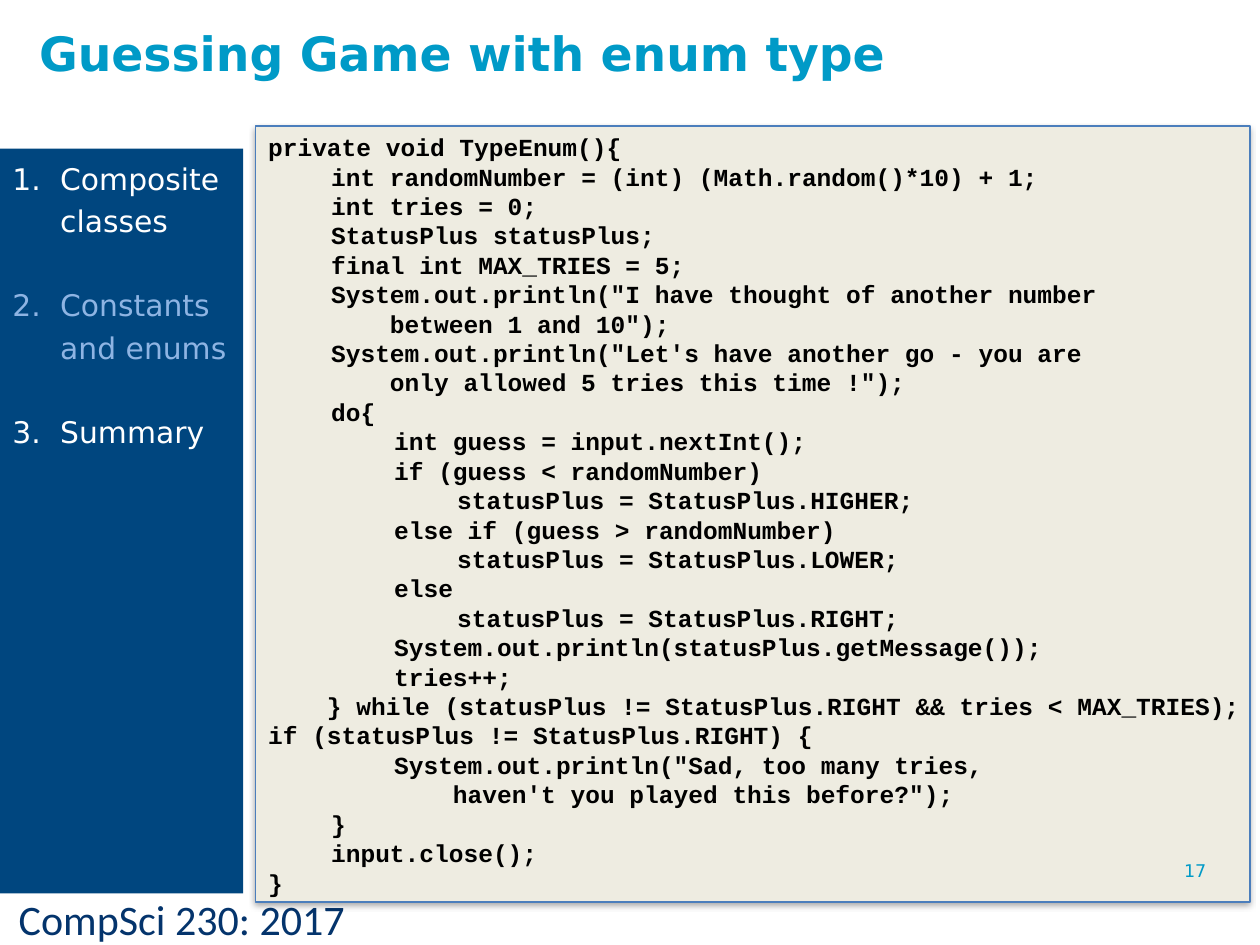
from dataclasses import dataclass

from lxml import etree
from pptx import Presentation
from pptx.dml.color import RGBColor
from pptx.enum.shapes import MSO_SHAPE
from pptx.enum.text import MSO_ANCHOR, MSO_AUTO_SIZE, PP_ALIGN
from pptx.oxml.ns import qn
from pptx.util import Emu, Inches, Pt

RECT = MSO_SHAPE.RECTANGLE
TOP = MSO_ANCHOR.TOP
FIXED = MSO_AUTO_SIZE.NONE
LEFT = PP_ALIGN.LEFT
TITLE_ONLY = 5
COLS, ROWS = 100, 75
UNIT = Inches(0.1)  # one grid column or row
TAB = 0.5           # inches per code level
CHAR = 0.6 / 72     # width of a code letter, inches per point of size


@dataclass(frozen=True)
class Theme:
    sans: str = "DejaVu Sans"
    mono: str = "Courier New"
    foot: str = "Calibri"
    cyan: str = "009AC7"
    navy: str = "00467F"
    ink: str = "04346C"
    cream: str = "EEECE1"
    edge: str = "4B7EBC"
    pale: str = "8EB4E3"
    white: str = "FFFFFF"
    black: str = "000000"
    title: int = 27
    footer: int = 24
    menu: int = 17
    code: int = 14
    page: int = 10


T = Theme()

# Menu entries with their colours
MENU = [
    ("Composite classes", T.white),
    ("Constants and enums", T.pale),
    ("Summary", T.white),
]

# Code lines: level, extra letters of indent, text
CODE = [
    (0, 0, "private void TypeEnum(){"),
    (1, 0, "int randomNumber = (int) (Math.random()*10) + 1;"),
    (1, 0, "int tries = 0;"),
    (1, 0, "StatusPlus statusPlus;"),
    (1, 0, "final int MAX_TRIES = 5;"),
    (1, 0, 'System.out.println("I have thought of another number'),
    (1, 4, 'between 1 and 10");'),
    (1, 0, 'System.out.println("Let\'s have another go - you are'),
    (1, 4, 'only allowed 5 tries this time !");'),
    (1, 0, "do{"),
    (2, 0, "int guess = input.nextInt();"),
    (2, 0, "if (guess < randomNumber)"),
    (3, 0, "statusPlus = StatusPlus.HIGHER;"),
    (2, 0, "else if (guess > randomNumber)"),
    (3, 0, "statusPlus = StatusPlus.LOWER;"),
    (2, 0, "else"),
    (3, 0, "statusPlus = StatusPlus.RIGHT;"),
    (2, 0, "System.out.println(statusPlus.getMessage());"),
    (2, 0, "tries++;"),
    (0, 4, "} while (statusPlus != StatusPlus.RIGHT && tries < MAX_TRIES);"),
    (0, 0, "if (statusPlus != StatusPlus.RIGHT) {"),
    (2, 0, 'System.out.println("Sad, too many tries,'),
    (2, 4, 'haven\'t you played this before?");'),
    (1, 0, "}"),
    (1, 0, "input.close();"),
    (0, 0, "}"),
]


def grid(*box):
    return [Emu(round(n * UNIT)) for n in box]


def write(frame, text, font=T.sans, size=T.menu, color=T.black, bold=False,
          margin=0, hang=0, pitch=None, gap=0, number=False):
    """Add one paragraph to the frame, filling the first one if it is bare."""
    para = frame.paragraphs[0]
    if para.runs:
        para = frame.add_paragraph()
    para.alignment = LEFT
    para.space_before = Pt(gap)
    if pitch:
        para.line_spacing = Pt(pitch)
    props = para._p.get_or_add_pPr()
    props.set("marL", str(Inches(margin)))
    props.set("indent", str(Inches(-hang)))
    if number:
        etree.SubElement(props, qn("a:buFont"), typeface="+mj-lt")
        etree.SubElement(props, qn("a:buAutoNum"), type="arabicPeriod")
    run = para.add_run()
    run.text = text
    run.font.name = font
    run.font.size = Pt(size)
    run.font.bold = bold
    run.font.color.rgb = RGBColor.from_string(color)


def setup(shape):
    frame = shape.text_frame
    frame.word_wrap = True
    frame.auto_size = FIXED
    frame.vertical_anchor = TOP
    return frame


def label(slide, box, text, **look):
    write(setup(slide.shapes.add_textbox(*grid(*box))), text, **look)


def panel(slide, box, fill, edge=None):
    shape = slide.shapes.add_shape(RECT, *grid(*box))
    shape.shadow.inherit = False
    shape.fill.solid()
    shape.fill.fore_color.rgb = RGBColor.from_string(fill)
    if edge:
        shape.line.color.rgb = RGBColor.from_string(edge)
        shape.line.width = Pt(0.75)
    else:
        shape.line.fill.background()
    return shape


def shade(shape):
    """Give the shape a soft shadow straight below it."""
    effects = shape._element.spPr.find(qn("a:effectLst"))
    outer = etree.SubElement(
        effects, qn("a:outerShdw"), blurRad=str(Pt(3.1)), dist=str(Pt(1.8)),
        dir="5400000", rotWithShape="0")
    tint = etree.SubElement(outer, qn("a:srgbClr"), val=T.black)
    etree.SubElement(tint, qn("a:alpha"), val="35000")


def heading(slide, box, text):
    title = slide.shapes.title
    title.left, title.top, title.width, title.height = grid(*box)
    write(setup(title), text, size=T.title, color=T.cyan, bold=True)


def menu(slide, box):
    frame = setup(panel(slide, box, T.navy))
    for row, (text, color) in enumerate(MENU):
        write(frame, text, color=color, margin=0.38, hang=0.38,
              pitch=24, gap=24 if row else 0, number=True)


def listing(slide, box):
    shape = panel(slide, box, T.cream, T.edge)
    shade(shape)
    frame = setup(shape)
    frame.margin_right = 0
    for level, extra, text in CODE:
        write(frame, text, font=T.mono, size=T.code, bold=True, pitch=16.8,
              margin=level * TAB + extra * CHAR * T.code)


def main():
    deck = Presentation()
    deck.slide_width, deck.slide_height = grid(COLS, ROWS)
    slide = deck.slides.add_slide(deck.slide_layouts[TITLE_ONLY])

    # Footer, code, page number, title and side menu
    label(slide, (0.5, 70.4, 40.5, 5), "CompSci 230: 2017",
          font=T.foot, size=T.footer, color=T.ink)
    listing(slide, (20.3, 10, 78.9, 61.6))
    label(slide, (93, 67.8, 7, 5.2), "17", size=T.page, color=T.cyan)
    heading(slide, (2.1, 1.4, 71.3, 7.8), "Guessing Game with enum type")
    menu(slide, (0, 11.8, 19.3, 59.1))

    deck.save("out.pptx")


if __name__ == "__main__":
    main()
